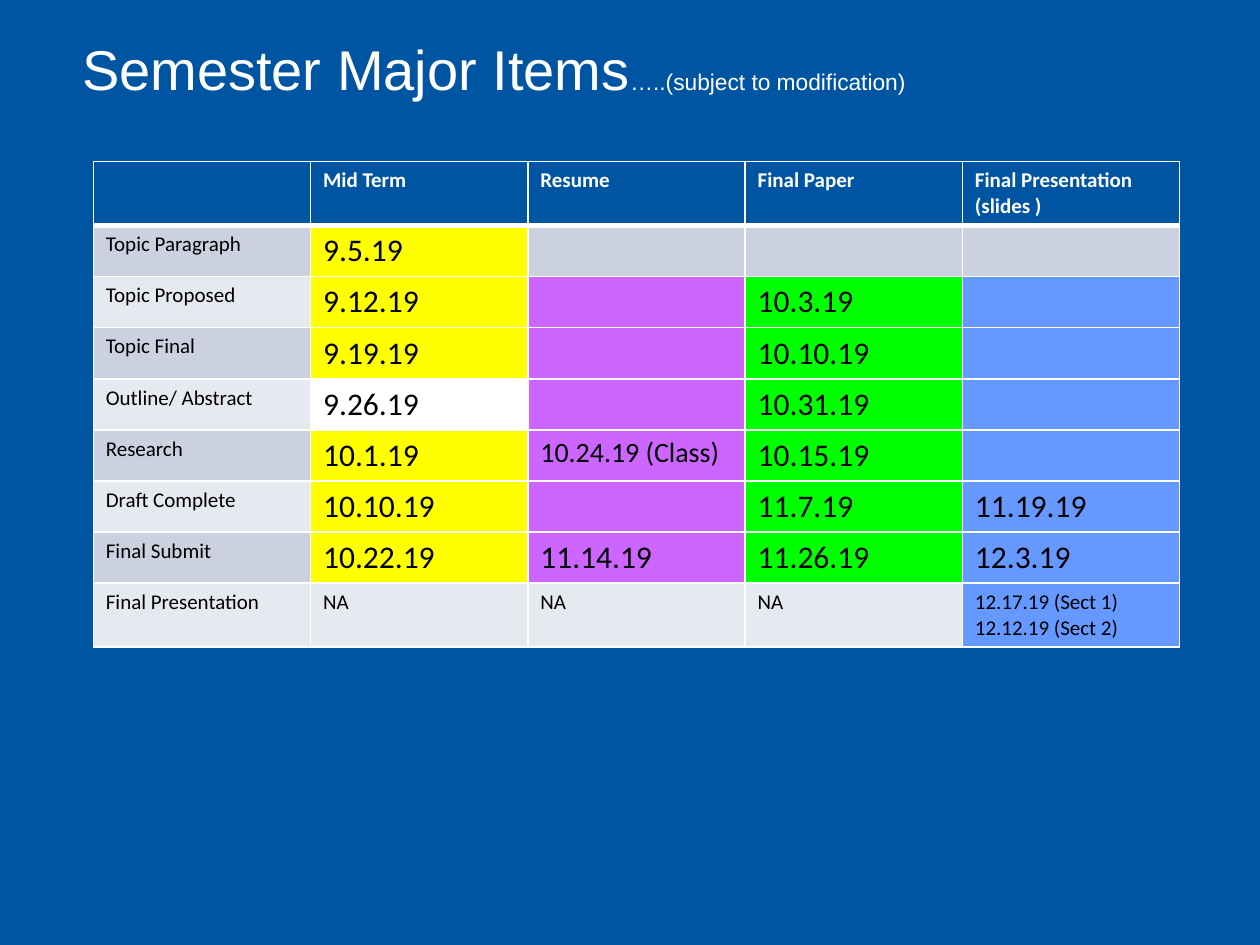
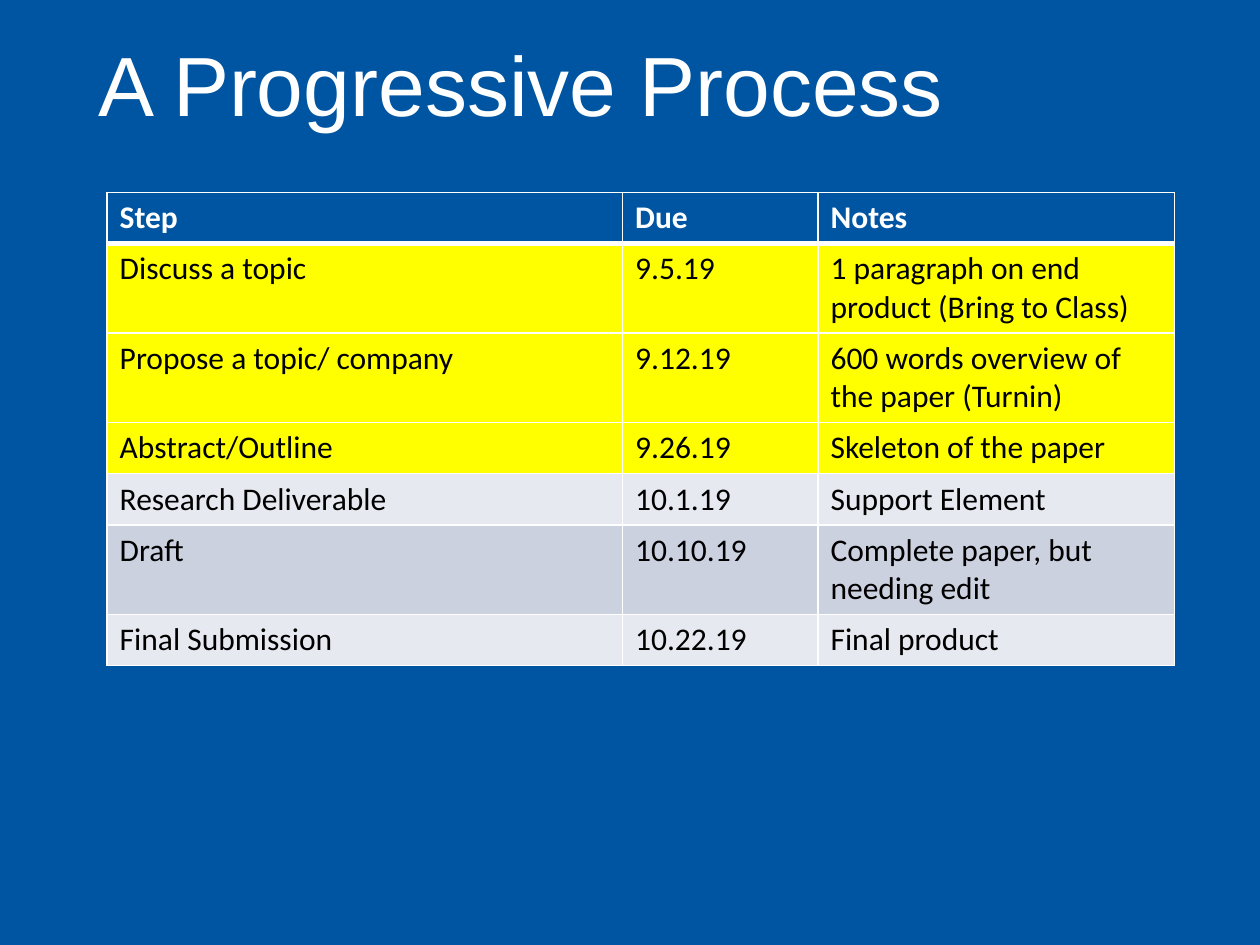
from collections import namedtuple
from dataclasses import dataclass

from lxml.etree import SubElement
from pptx import Presentation
from pptx.dml.color import RGBColor as RGB
from pptx.enum.text import MSO_ANCHOR, MSO_AUTO_SIZE, PP_ALIGN
from pptx.oxml.ns import qn
from pptx.util import Cm, Pt

Box = namedtuple("Box", "left top width height")
CellStyle = namedtuple("CellStyle", "fill size")


@dataclass(frozen=True)
class Theme:
    background: str = "0055A2"
    light_text: str = "FFFFFF"
    dark_text: str = "000000"
    grid: str = "FFFFFF"
    bands: tuple = ("E7E9F0", "CCD1E0")
    yellow: str = "FFFF00"
    white: str = "FFFFFF"
    purple: str = "CC66FF"
    green: str = "00FF00"
    blue: str = "6699FF"
    title_font: str = "Arial"
    table_font: str = "Calibri"
    title_large: int = 48
    title_medium: int = 32
    title_note: int = 13
    table_large: int = 18
    table_medium: int = 16
    table_small: int = 12
    thin_line: float = 1
    header_line: float = 3


THEME = Theme()
ROW_HEIGHT = 1.03

SEMESTER_ROWS = [
    ["", "Mid Term", "Resume", "Final Paper", "Final Presentation (slides )"],
    ["Topic Paragraph", "9.5.19", "", "", ""],
    ["Topic Proposed", "9.12.19", "", "10.3.19", ""],
    ["Topic Final", "9.19.19", "", "10.10.19", ""],
    ["Outline/ Abstract", "9.26.19", "", "10.31.19", ""],
    ["Research", "10.1.19", "10.24.19 (Class)", "10.15.19", ""],
    ["Draft Complete", "10.10.19", "", "11.7.19", "11.19.19"],
    ["Final Submit", "10.22.19", "11.14.19", "11.26.19", "12.3.19"],
    ["Final Presentation", "NA", "NA", "NA", "12.17.19 (Sect 1)\n12.12.19 (Sect 2)"],
]

PROCESS_ROWS = [
    ["Step", "Due", "Notes"],
    ["Discuss a topic", "9.5.19", "1 paragraph on end product (Bring to Class)"],
    ["Propose a topic/ company", "9.12.19", "600 words overview of the paper (Turnin)"],
    ["Abstract/Outline", "9.26.19", "Skeleton of the paper"],
    ["Research Deliverable", "10.1.19", "Support Element"],
    ["Draft", "10.10.19", "Complete paper, but needing edit"],
    ["Final Submission", "10.22.19", "Final product"],
]


def format_font(font, name, size, color, bold=False):
    font.name = name
    font.size = Pt(size)
    font.bold = bold
    font.color.rgb = RGB.from_string(color)


def add_title_slide(prs, box, parts):
    """Add a title-only slide; parts are (text, size) runs of its title."""
    slide = prs.slides.add_slide(prs.slide_layouts[5])
    title = slide.shapes.title
    title.left, title.top, title.width, title.height = map(Cm, box)
    tf = title.text_frame
    tf.word_wrap = True
    tf.auto_size = MSO_AUTO_SIZE.NONE
    tf.vertical_anchor = MSO_ANCHOR.MIDDLE
    p = tf.paragraphs[0]
    p.alignment = PP_ALIGN.LEFT
    p.line_spacing = 0.9
    for text, size in parts:
        r = p.add_run()
        r.text = text
        format_font(r.font, THEME.title_font, size, THEME.light_text)
    return slide


def set_borders(cell, top, bottom):
    """Draw the four cell borders, with top and bottom widths in points."""
    tc_pr = cell._tc.get_or_add_tcPr()
    widths = {"L": THEME.thin_line, "R": THEME.thin_line, "T": top, "B": bottom}
    for side, width in widths.items():
        line = SubElement(tc_pr, qn(f"a:ln{side}"), w=str(Pt(width)))
        fill = SubElement(line, qn("a:solidFill"))
        SubElement(fill, qn("a:srgbClr"), val=THEME.grid)


def fill_cell(cell, text, style, is_header):
    cell.fill.solid()
    cell.fill.fore_color.rgb = RGB.from_string(style.fill)
    cell.text_frame.text = text
    color = THEME.light_text if is_header else THEME.dark_text
    for p in cell.text_frame.paragraphs:
        for r in p.runs:
            format_font(r.font, THEME.table_font, style.size, color, is_header)


def add_schedule(slide, box, col_widths, rows, header_size, body_style):
    """Add a table; body_style(row, col) gives the style of a body cell."""
    table = slide.shapes.add_table(len(rows), len(col_widths), *map(Cm, box)).table
    for column, width in zip(table.columns, col_widths):
        column.width = Cm(width)
    header_style = CellStyle(THEME.background, header_size)
    for i, texts in enumerate(rows):
        table.rows[i].height = Cm(ROW_HEIGHT)
        top = THEME.header_line if i == 1 else THEME.thin_line
        bottom = THEME.header_line if i == 0 else THEME.thin_line
        for j, text in enumerate(texts):
            cell = table.cell(i, j)
            set_borders(cell, top, bottom)
            fill_cell(cell, text, body_style(i, j) if i else header_style, i == 0)


def semester_style(row, col):
    last = len(SEMESTER_ROWS) - 1
    item_colors = (None, THEME.yellow, THEME.purple, THEME.green, THEME.blue)
    first_rows = (None, 1, 2, 2, 2)
    last_rows = (None, last - 1, last - 1, last - 1, last)
    fill = THEME.bands[row % 2]
    if col and first_rows[col] <= row <= last_rows[col]:
        fill = item_colors[col]
    if SEMESTER_ROWS[row][col] == "9.26.19":
        fill = THEME.white

    size = THEME.table_large
    if col == 0 or row == last:
        size = THEME.table_small
    elif "(Class)" in SEMESTER_ROWS[row][col]:
        size = THEME.table_medium
    return CellStyle(fill, size)


def process_style(row, col):
    fill = THEME.yellow if row <= 3 else THEME.bands[row % 2]
    return CellStyle(fill, THEME.table_large)


def add_semester_slide(prs):
    slide = add_title_slide(prs, Box(1.4, 0.23, 21.9, 2.46), [
        ("Semester Major Items", THEME.title_medium),
        ("…..(subject to modification)", THEME.title_note),
    ])
    box = Box(1.88, 3.26, 21.9, ROW_HEIGHT * len(SEMESTER_ROWS))
    columns = len(SEMESTER_ROWS[0])
    add_schedule(slide, box, [box.width / columns] * columns, SEMESTER_ROWS,
                 THEME.table_small, semester_style)


def add_process_slide(prs):
    slide = add_title_slide(prs, Box(1.73, 0.58, 21.9, 2.46),
                            [("A Progressive Process", THEME.title_large)])
    col_widths = [10.39, 3.94, 7.19]
    box = Box(2.16, 3.88, sum(col_widths), ROW_HEIGHT * len(PROCESS_ROWS))
    add_schedule(slide, box, col_widths, PROCESS_ROWS,
                 THEME.table_large, process_style)


def main():
    prs = Presentation()
    prs.slide_width, prs.slide_height = Cm(25.4), Cm(19.05)
    fill = prs.slide_master.background.fill
    fill.solid()
    fill.fore_color.rgb = RGB.from_string(THEME.background)
    add_semester_slide(prs)
    add_process_slide(prs)
    prs.save("out.pptx")


if __name__ == "__main__":
    main()
